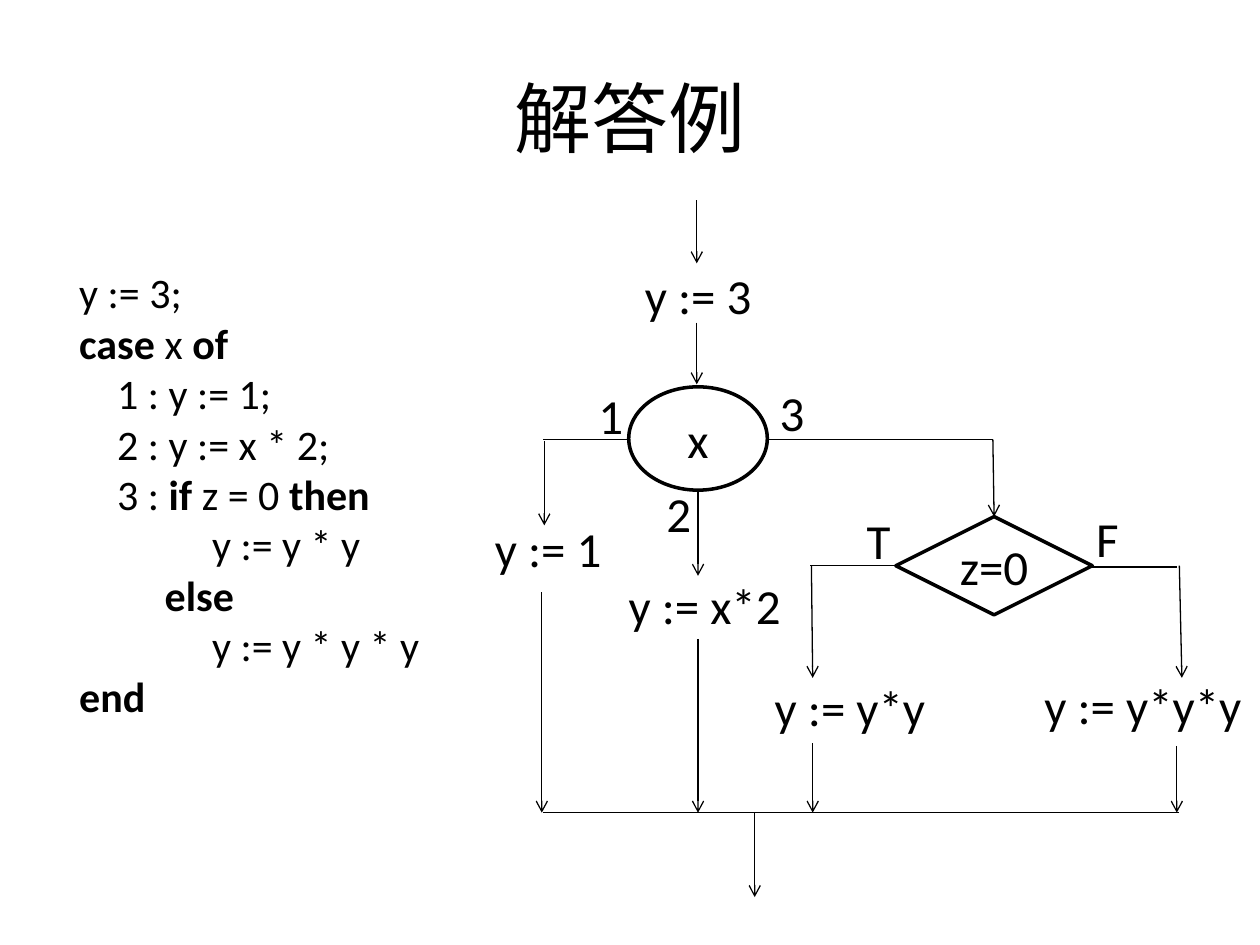
import dataclasses
import typing

import pptx
import pptx.dml.color
import pptx.enum.shapes
import pptx.enum.text
import pptx.oxml
import pptx.oxml.ns
import pptx.util

PX = 9144  # one px is 1/100 inch
FONT = "Calibri"
INK = "000000"
KIND = pptx.enum.shapes.MSO_SHAPE
ALIGN = pptx.enum.text.PP_ALIGN
MID = pptx.enum.text.MSO_ANCHOR.MIDDLE


@dataclasses.dataclass
class Box:
    left: int
    top: int
    wide: int
    high: int

    def emu(self) -> list[int]:
        return [n * PX for n in dataclasses.astuple(self)]


@dataclasses.dataclass
class Label:
    text: str
    left: int
    top: int
    wide: int


@dataclasses.dataclass
class Node:
    text: str
    kind: typing.Any
    box: Box


@dataclasses.dataclass
class Line:
    x1: int
    y1: int
    x2: int
    y2: int
    head: bool = True


class Bit(typing.NamedTuple):
    text: str
    bold: bool = False


TITLE = Box(50, 30, 900, 125)
CODE_BOX = Box(53, 207, 329, 374)
CODE = [
    [Bit("y := 3;")],
    [Bit("case", True), Bit(" x "), Bit("of", True)],
    [Bit("    1 : y := 1;")],
    [Bit("    2 : y := x * 2;")],
    [Bit("    3 : "), Bit("if", True), Bit(" z = 0 "), Bit("then", True)],
    [Bit("              y := y * y")],
    [Bit("         "), Bit("else", True)],
    [Bit("              y := y * y * y")],
    [Bit("end", True)],
]

NODES = [
    Node("x", KIND.OVAL, Box(499, 307, 110, 82)),
    Node("z=0", KIND.DIAMOND, Box(711, 410, 156, 78)),
]

LABELS = [
    # Statements
    Label("y := 3", 502, 206, 106),
    Label("y := 1", 383, 407, 106),
    Label("y := x*2", 489, 452, 151),
    Label("y := y*y", 605, 533, 141),
    Label("y := y*y*y", 819, 531, 178),
    # Branch names
    Label("1", 465, 301, 40),
    Label("2", 519, 379, 40),
    Label("3", 609, 299, 40),
    Label("T", 678, 400, 39),
    Label("F", 860, 399, 38),
]

END = 645  # height of the line where all branches meet
LINES = [
    # Entry
    Line(553, 159, 553, 209),
    Line(553, 256, 553, 305),
    # Case 1
    Line(499, 349, 431, 349, False),
    Line(432, 350, 432, 417),
    Line(430, 470, 430, END),
    # Case 2
    Line(554, 390, 554, 457),
    Line(554, 507, 554, END),
    # Case 3
    Line(609, 349, 788, 349, False),
    Line(788, 349, 789, 410),
    # True branch
    Line(711, 449, 643, 449, False),
    Line(644, 449, 645, 538),
    Line(645, 590, 645, END),
    # False branch
    Line(867, 450, 934, 450, False),
    Line(936, 449, 938, 538),
    Line(934, 592, 934, END),
    # Exit
    Line(431, END, 936, END, False),
    Line(599, END, 599, 712),
]


def tint(code: str) -> pptx.dml.color.RGBColor:
    return pptx.dml.color.RGBColor.from_string(code)


def write(para: typing.Any, bits: list[Bit], size: int) -> None:
    for bit in bits:
        run = para.add_run()
        run.text = bit.text
        font = run.font
        font.name, font.size, font.bold = FONT, pptx.util.Pt(size), bit.bold
        font.color.rgb = tint(INK)


def put_title(slide: typing.Any, text: str) -> None:
    shape = slide.shapes.title
    shape.left, shape.top, shape.width, shape.height = TITLE.emu()
    frame = shape.text_frame
    frame.vertical_anchor = MID
    para = frame.paragraphs[0]
    para.alignment = ALIGN.CENTER
    write(para, [Bit(text)], 44)


def put_code(slide: typing.Any) -> None:
    frame = slide.shapes.add_textbox(*CODE_BOX.emu()).text_frame
    frame.word_wrap = True
    for row, bits in enumerate(CODE):
        para = frame.add_paragraph() if row else frame.paragraphs[0]
        write(para, bits, 24)


def put_label(slide: typing.Any, label: Label) -> None:
    box = Box(label.left, label.top, label.wide, 57)
    frame = slide.shapes.add_textbox(*box.emu()).text_frame
    frame.word_wrap = False
    write(frame.paragraphs[0], [Bit(label.text)], 28)


def put_node(slide: typing.Any, node: Node) -> None:
    shape = slide.shapes.add_shape(node.kind, *node.box.emu())
    shape.shadow.inherit = False
    shape.fill.background()
    shape.line.color.rgb = tint(INK)
    shape.line.width = pptx.util.Pt(2)
    frame = shape.text_frame
    frame.word_wrap = False
    frame.vertical_anchor = MID
    para = frame.paragraphs[0]
    para.alignment = ALIGN.CENTER
    write(para, [Bit(node.text)], 28)


def put_line(slide: typing.Any, line: Line) -> None:
    ends = [n * PX for n in (line.x1, line.y1, line.x2, line.y2)]
    link = slide.shapes.add_connector(
        pptx.enum.shapes.MSO_CONNECTOR.STRAIGHT, *ends)
    link.line.color.rgb = tint(INK)
    link.line.width = pptx.util.Pt(0.75)
    if line.head:
        tail = pptx.oxml.parse_xml(
            f'<a:tailEnd {pptx.oxml.ns.nsdecls("a")} type="arrow"/>')
        link.line._get_or_add_ln().append(tail)
    # An empty effect list takes the shadow off
    link._element.spPr.append(pptx.oxml.parse_xml(
        f'<a:effectLst {pptx.oxml.ns.nsdecls("a")}/>'))


def main() -> None:
    deck = pptx.Presentation()
    deck.slide_width, deck.slide_height = 1000 * PX, 750 * PX
    slide = deck.slides.add_slide(deck.slide_layouts[5])

    # Title and program
    put_title(slide, "解答例")
    put_code(slide)

    # Flow chart
    for line in LINES:
        put_line(slide, line)
    for node in NODES:
        put_node(slide, node)
    for label in LABELS:
        put_label(slide, label)

    deck.save("out.pptx")


if __name__ == "__main__":
    main()
